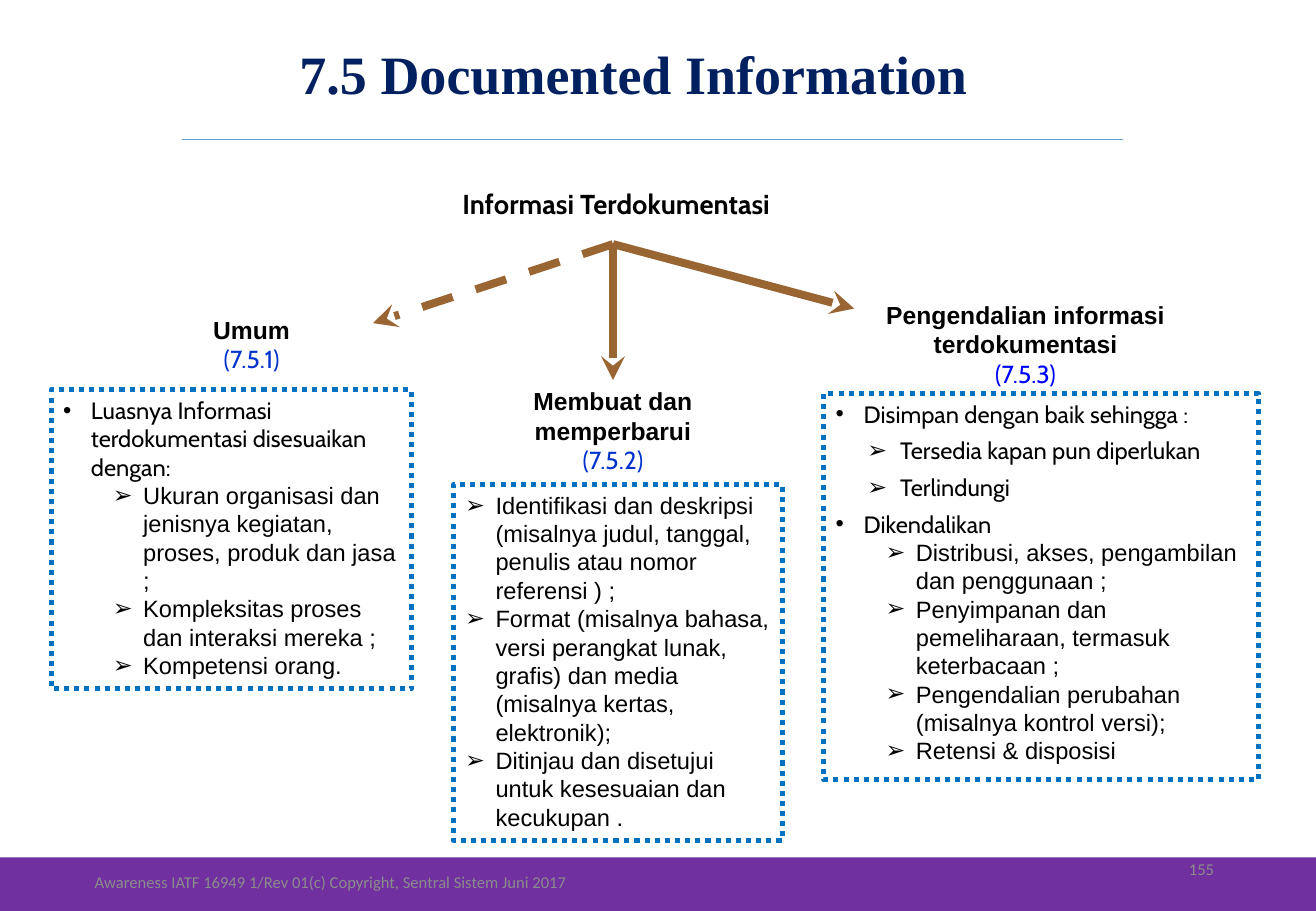
import pptx
import pptx.dml.color
import pptx.enum.dml
import pptx.enum.shapes
import pptx.enum.text
import pptx.oxml.ns
import pptx.util
from dataclasses import dataclass
from lxml import etree

ALIGN = pptx.enum.text.PP_ALIGN
ANCHOR = pptx.enum.text.MSO_ANCHOR
DASH = pptx.enum.dml.MSO_LINE
Pt = pptx.util.Pt
qn = pptx.oxml.ns.qn


@dataclass(frozen=True)
class Theme:
    white: str = "FFFFFF"
    ink: str = "000000"
    navy: str = "002060"
    purple: str = "7030A0"
    frame: str = "0070C0"
    arrow: str = "996633"
    rule: str = "5B9BD5"
    grey: str = "8C8C8C"
    clause: str = "0033CC"
    clause_bright: str = "0000FF"
    serif: str = "Times New Roman"
    sans: str = "Arial"
    soft: str = "Cabin"
    small: str = "Calibri"
    title_size: float = 32
    heading_size: float = 16.2
    branch_size: float = 14.6
    body_size: float = 14
    footer_size: float = 9.8
    leading: float = 1.2
    gap: float = 4.9


THEME = Theme()


@dataclass(frozen=True)
class Bullet:
    mark: str
    left: float
    hang: float
    level: int = 0
    gap: float = 0


POINT = Bullet("•", 0.23, 0.23, gap=THEME.gap)
ARROW_POINT = Bullet("➢", 0.25, 0.25)
SUBPOINT = Bullet("➢", 0.66, 0.25, level=1)
LOOSE_SUBPOINT = Bullet("➢", 0.53, 0.27, level=1, gap=THEME.gap)


def colour(code):
    return pptx.dml.color.RGBColor.from_string(code)


def add_bullet(para, bullet):
    para.level = bullet.level
    properties = para._p.get_or_add_pPr()
    properties.set("marL", str(pptx.util.Inches(bullet.left)))
    properties.set("indent", str(-pptx.util.Inches(bullet.hang)))
    etree.SubElement(properties, qn("a:buFont"), typeface=THEME.sans)
    etree.SubElement(properties, qn("a:buChar"), char=bullet.mark)


def write(box, text, size=THEME.body_size, font=THEME.sans, ink=THEME.ink,
          bold=False, align=ALIGN.LEFT, bullet=None, leading=None):
    """Add one paragraph to the box, filling its empty first paragraph if there is one."""
    frame = box.text_frame
    first = not frame.text
    para = frame.paragraphs[0] if first else frame.add_paragraph()
    if bullet:
        add_bullet(para, bullet)
    para.alignment = align
    if bullet and bullet.gap and not first:
        para.space_before = Pt(bullet.gap)
    if leading:
        para.line_spacing = Pt(round(size * leading, 1))
    span = para.add_run()
    span.text = text
    span.font.size = Pt(size)
    span.font.name = font
    span.font.bold = bold
    span.font.color.rgb = colour(ink)


class Page:
    """One slide, with every length given in percent of the slide's size."""

    def __init__(self, deck, theme):
        self.deck = deck
        self.theme = theme
        self.slide = deck.slides.add_slide(deck.slide_layouts[6])

    def across(self, share):
        return round(self.deck.slide_width * share / 100)

    def down(self, share):
        return round(self.deck.slide_height * share / 100)

    def place(self, left, top, width, height):
        return self.across(left), self.down(top), self.across(width), self.down(height)

    def panel(self, area, fill, edge=None):
        box = self.slide.shapes.add_shape(
            pptx.enum.shapes.MSO_SHAPE.RECTANGLE, *self.place(*area))
        box.shadow.inherit = False
        box.fill.solid()
        box.fill.fore_color.rgb = colour(fill)
        if edge:
            box.line.color.rgb = colour(edge)
            box.line.width = Pt(3)
            box.line.dash_style = DASH.ROUND_DOT
        else:
            box.line.fill.background()
        box.text_frame.word_wrap = True
        box.text_frame.vertical_anchor = ANCHOR.TOP
        return box

    def label(self, area, text, anchor=ANCHOR.TOP, **style):
        box = self.slide.shapes.add_textbox(*self.place(*area))
        box.text_frame.word_wrap = True
        box.text_frame.vertical_anchor = anchor
        write(box, text, **style)
        return box

    def branch_title(self, area, text, clause, clause_ink):
        style = dict(size=self.theme.branch_size, align=ALIGN.CENTER,
                     leading=self.theme.leading)
        box = self.label(area, text, bold=True, **style)
        write(box, clause, font=self.theme.soft, ink=clause_ink, **style)
        return box

    def bullet_panel(self, area, points):
        box = self.panel(area, self.theme.white, self.theme.frame)
        for bullet, font, text in points:
            write(box, text, font=font, bullet=bullet, leading=self.theme.leading)

    def line(self, start, end, ink, width, dash=None, arrow=False):
        connector = self.slide.shapes.add_connector(
            pptx.enum.shapes.MSO_CONNECTOR.STRAIGHT,
            self.across(start[0]), self.down(start[1]),
            self.across(end[0]), self.down(end[1]))
        connector.line.color.rgb = colour(ink)
        connector.line.width = Pt(width)
        if dash:
            connector.line.dash_style = dash
        if arrow:
            etree.SubElement(connector.line._get_or_add_ln(), qn("a:tailEnd"), type="stealth")
        etree.SubElement(connector._element.spPr, qn("a:effectLst"))
        return connector


def main():
    deck = pptx.Presentation()
    deck.slide_width = pptx.util.Inches(10.83)
    deck.slide_height = pptx.util.Inches(7.5)
    theme = THEME
    page = Page(deck, theme)

    page.panel((0, 94.13, 100, 5.87), theme.purple)
    page.label((15.14, 3.33, 66.02, 9.33), "7.5 Documented Information", ANCHOR.MIDDLE,
               size=theme.title_size, font=theme.serif, ink=theme.navy, bold=True,
               align=ALIGN.CENTER)
    page.line((13.85, 15.33), (85.32, 15.33), theme.rule, 0.5)
    page.label((32.5, 19.87, 28.62, 4.93), "Informasi Terdokumentasi",
               size=theme.heading_size, font=theme.soft, bold=True, align=ALIGN.CENTER)

    page.branch_title((6.93, 33.87, 24.38, 7.87), "Umum", "(7.5.1)", theme.clause)
    middle_title = page.branch_title((33.7, 41.73, 25.76, 11.2), "Membuat dan memperbarui",
                                     "(7.5.2)", theme.clause)
    page.branch_title((66.39, 32.27, 23.08, 11.2), "Pengendalian informasi terdokumentasi",
                      "(7.5.3)", theme.clause_bright)

    page.bullet_panel((3.88, 42.8, 27.42, 32.8), [
        (POINT, theme.soft, "Luasnya Informasi terdokumentasi disesuaikan dengan:"),
        (SUBPOINT, theme.sans,
         "Ukuran organisasi dan jenisnya kegiatan, proses, produk dan jasa ;"),
        (SUBPOINT, theme.sans, "Kompleksitas proses dan interaksi mereka ;"),
        (SUBPOINT, theme.sans, "Kompetensi orang."),
    ])
    page.bullet_panel((34.44, 53.2, 25.02, 39.07), [
        (ARROW_POINT, theme.sans, "Identifikasi dan deskripsi (misalnya judul, tanggal, "
         "penulis atau nomor referensi ) ;"),
        (ARROW_POINT, theme.sans, "Format (misalnya bahasa, versi perangkat lunak, grafis) "
         "dan media (misalnya kertas, elektronik);"),
        (ARROW_POINT, theme.sans, "Ditinjau dan disetujui untuk kesesuaian dan kecukupan ."),
    ])
    page.bullet_panel((62.6, 43.2, 33.06, 42.4), [
        (POINT, theme.soft, "Disimpan dengan baik sehingga :"),
        (LOOSE_SUBPOINT, theme.soft, "Tersedia kapan pun diperlukan"),
        (LOOSE_SUBPOINT, theme.soft, "Terlindungi"),
        (POINT, theme.soft, "Dikendalikan"),
        (SUBPOINT, theme.sans, "Distribusi, akses, pengambilan dan penggunaan ;"),
        (SUBPOINT, theme.sans, "Penyimpanan dan pemeliharaan, termasuk keterbacaan ;"),
        (SUBPOINT, theme.sans, "Pengendalian perubahan (misalnya kontrol versi);"),
        (SUBPOINT, theme.sans, "Retensi & disposisi"),
    ])

    hub = (46.58, 26.8)
    page.line(hub, (28.35, 35.47), theme.arrow, 4.75, dash=DASH.DASH, arrow=True)
    page.line(hub, (64.91, 33.87), theme.arrow, 4.75, arrow=True)
    down_arrow = page.line(hub, (46.58, 41.73), theme.arrow, 4.75, arrow=True)
    down_arrow.end_connect(middle_title, 0)

    footer = dict(size=theme.footer_size, font=theme.small, ink=theme.grey)
    page.label((70.64, 92.67, 22.53, 5.33), "155", ANCHOR.MIDDLE, align=ALIGN.RIGHT, **footer)
    page.label((2.4, 94.13, 45.43, 5.33),
               "Awareness IATF 16949 1/Rev 01(c) Copyright, Sentral Sistem Juni 2017",
               ANCHOR.MIDDLE, align=ALIGN.CENTER, **footer)
    deck.save("out.pptx")


if __name__ == "__main__":
    main()
